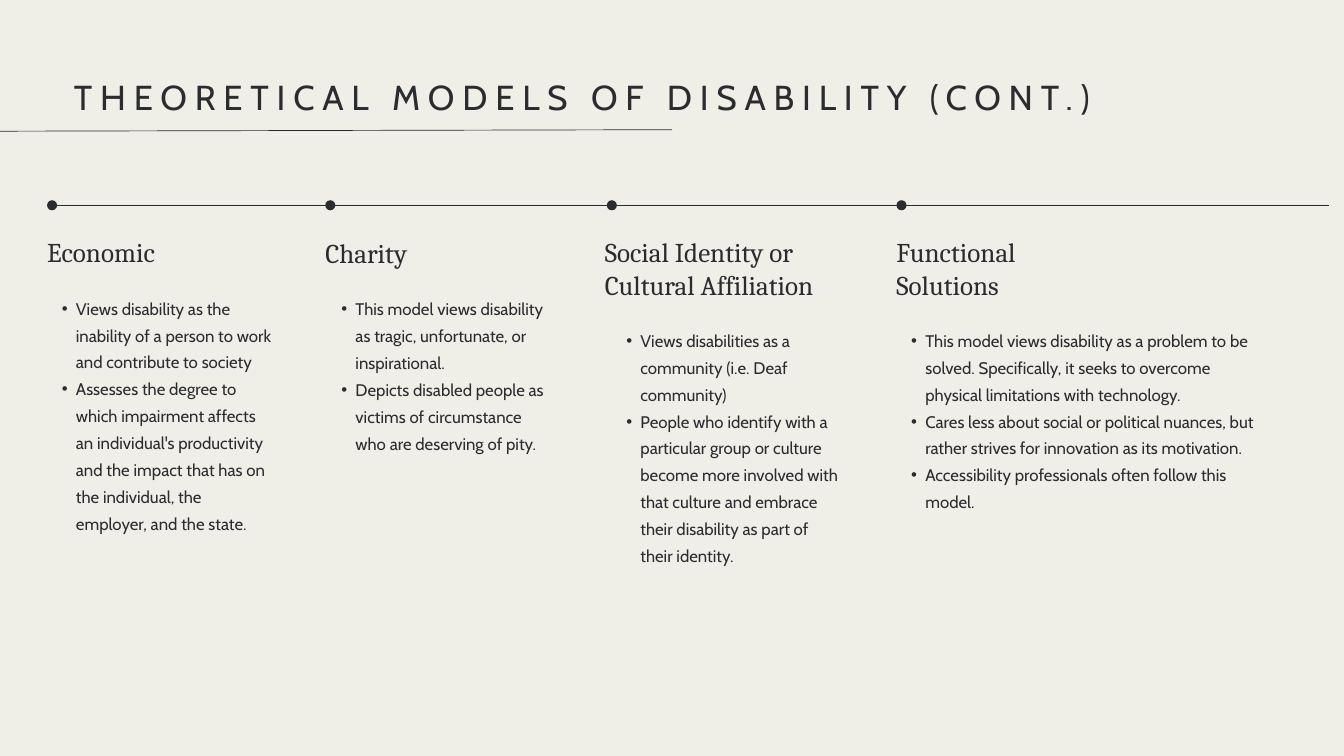
from lxml import etree
from pptx import Presentation
from pptx import util as u
from pptx.dml.color import RGBColor
from pptx.enum import shapes, text
from pptx.oxml import ns

COLORS = {"ink": "2B2C30", "paper": "EFEEE7"}
INK = RGBColor.from_string(COLORS["ink"])

MODELS = [
    {"heading": "Economic", "dot": 0.7, "heading_at": (0.7, 3.51, 3.05, 0.47),
     "points_at": (0.7, 4.34, 3.38, 4.31),
     "points": [
         "Views disability as the inability of a person to work and contribute to society",
         "Assesses the degree to which impairment affects an individual's productivity "
         "and the impact that has on the individual, the employer, and the state.",
     ]},
    {"heading": "Charity", "dot": 4.84, "heading_at": (4.84, 3.52, 1.69, 0.47),
     "points_at": (4.86, 4.35, 3.38, 3.12),
     "points": [
         "This model views disability as tragic, unfortunate, or inspirational.",
         "Depicts disabled people as victims of circumstance who are deserving of pity.",
     ]},
    {"heading": "Social Identity or Cultural Affiliation", "dot": 9.03,
     "heading_at": (9, 3.51, 3.58, 0.95),
     "points_at": (9.1, 4.82, 3.38, 3.91),
     "points": [
         "Views disabilities as a community (i.e. Deaf community)",
         "People who identify with a particular group or culture become more involved "
         "with that culture and embrace their disability as part of their identity.",
     ]},
    {"heading": "Functional Solutions", "dot": 13.34,
     "heading_at": (13.34, 3.51, 3.05, 0.95),
     "points_at": (13.34, 4.82, 5.53, 3.52),
     "points": [
         "This model views disability as a problem to be solved. Specifically, it seeks "
         "to overcome physical limitations with technology.",
         "Cares less about social or political nuances, but rather strives for "
         "innovation as its motivation.",
         "Accessibility professionals often follow this model.",
     ]},
]


def add_text(page, place, lines, font, size, spacing, bullets=False):
    box = page.shapes.add_textbox(*[u.Inches(length) for length in place])
    frame = box.text_frame
    frame.word_wrap = True
    frame.auto_size = text.MSO_AUTO_SIZE.SHAPE_TO_FIT_TEXT
    frame.margin_left = frame.margin_right = frame.margin_top = frame.margin_bottom = 0
    for number, line in enumerate(lines):
        para = frame.add_paragraph() if number else frame.paragraphs[0]
        para.text = line
        para.line_spacing = u.Pt(spacing)
        if bullets:
            para.level = 1
            properties = para._p.get_or_add_pPr()
            properties.set("marL", str(u.Inches(0.43)))
            properties.set("indent", str(u.Inches(-0.21)))
            etree.SubElement(properties, ns.qn("a:buFont"), typeface="Arial")
            etree.SubElement(properties, ns.qn("a:buChar"), char="•")
        para.font.name = font
        para.font.size = u.Pt(size)
        para.font.color.rgb = INK
    return box


def add_rule(page, start, end):
    rule = page.shapes.add_connector(
        shapes.MSO_CONNECTOR.STRAIGHT, *[u.Inches(length) for length in start + end])
    rule.line.color.rgb = INK
    rule.line.width = u.Pt(0.75)
    etree.SubElement(rule._element.spPr, ns.qn("a:effectLst"))


deck = Presentation()
deck.slide_width = u.Inches(20)
deck.slide_height = u.Inches(11.25)
page = deck.slides.add_slide(deck.slide_layouts[6])
page.background.fill.solid()
page.background.fill.fore_color.rgb = RGBColor.from_string(COLORS["paper"])

title = add_text(page, (1.1, 1.03, 17.75, 0.71),
                 ["THEORETICAL MODELS OF DISABILITY (CONT.)"], "Cabin", 37.1, 52)
title.text_frame.paragraphs[0].runs[0].font._element.set("spc", "840")

add_rule(page, (-7.75, 1.97), (10, 1.93))
add_rule(page, (0.76, 3.05), (19.78, 3.05))

for model in MODELS:
    dot = page.shapes.add_shape(
        shapes.MSO_SHAPE.OVAL, u.Inches(model["dot"]), u.Inches(2.98),
        u.Inches(0.15), u.Inches(0.15))
    dot.shadow.inherit = False
    dot.fill.solid()
    dot.fill.fore_color.rgb = INK
    dot.line.fill.background()
    add_text(page, model["heading_at"], [model["heading"]], "Cambria", 29, 34.8)
    add_text(page, model["points_at"], model["points"], "Cabin", 18, 28.8, bullets=True)

deck.save("out.pptx")
